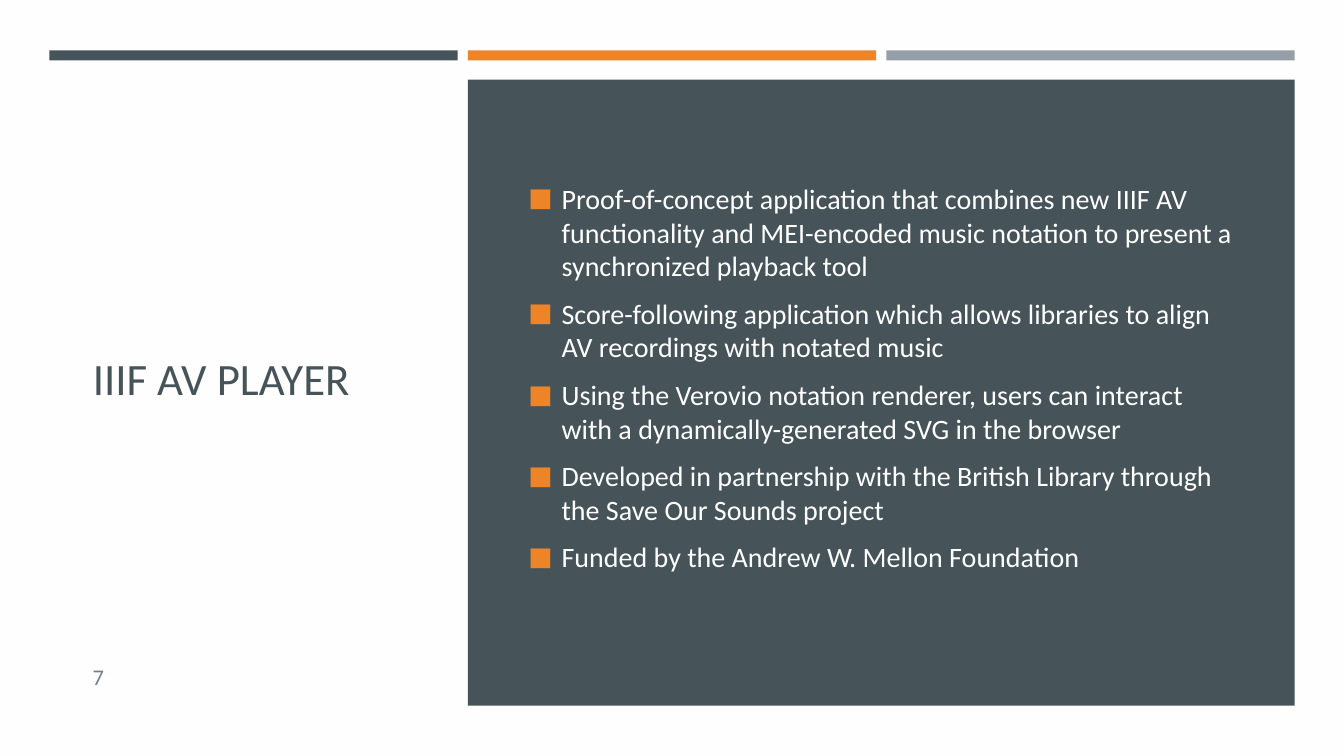
from lxml.etree import SubElement
from pptx import Presentation
from pptx.dml.color import RGBColor
from pptx.enum.shapes import MSO_SHAPE as Preset
from pptx.enum.text import MSO_ANCHOR as Anchor, MSO_AUTO_SIZE as AutoSize, PP_ALIGN as Align
from pptx.oxml.ns import qn
from pptx.util import Inches, Pt

FONT = "Calibri"
SLATE, ORANGE, GREY = "465359", "ED8428", "969FA7"
PAPER, WHITE, NUMBER_GREY = "FFFEFF", "FFFFFF", "6D818A"
MARGIN, BAR_WIDTH, BAR_STEP = 0.49, 4.05, 4.15

POINTS = [
    "Proof-of-concept application that combines new IIIF AV functionality and "
    "MEI-encoded music notation to present a synchronized playback tool",
    "Score-following application which allows libraries to align AV recordings with notated music",
    "Using the Verovio notation renderer, users can interact with a dynamically-generated SVG in the browser",
    "Developed in partnership with the British Library through the Save Our Sounds project",
    "Funded by the Andrew W. Mellon Foundation",
]


def color(value):
    return RGBColor.from_string(value)


def place(shape, left, top, width, height):
    shape.left, shape.top = Inches(left), Inches(top)
    shape.width, shape.height = Inches(width), Inches(height)


def add_block(slide, left, top, width, height, fill):
    block = slide.shapes.add_shape(
        Preset.RECTANGLE, Inches(left), Inches(top), Inches(width), Inches(height))
    block.shadow.inherit = False
    block.fill.solid()
    block.fill.fore_color.rgb = color(fill)
    block.line.fill.background()


def write(shape, text, size, text_color):
    frame = shape.text_frame
    frame.text = text
    frame.word_wrap = True
    frame.auto_size = AutoSize.NONE
    frame.vertical_anchor = Anchor.MIDDLE
    for paragraph in frame.paragraphs:
        paragraph.alignment = Align.LEFT
        for run in paragraph.runs:
            run.font.name = FONT
            run.font.size = Pt(size)
            run.font.color.rgb = color(text_color)


def add_bullet(paragraph):
    properties = paragraph._p.get_or_add_pPr()
    properties.set("marL", str(Inches(0.33)))
    properties.set("indent", str(Inches(-0.33)))
    bullet_color = SubElement(properties, qn("a:buClr"))
    SubElement(bullet_color, qn("a:srgbClr"), val=ORANGE)
    SubElement(properties, qn("a:buSzPct"), val="92000")
    SubElement(properties, qn("a:buFont"), typeface=FONT)
    SubElement(properties, qn("a:buChar"), char="■")


def fill_points(body):
    write(body, "\n".join(POINTS), 20, WHITE)
    for index, paragraph in enumerate(body.text_frame.paragraphs):
        add_bullet(paragraph)
        paragraph.space_before = Pt(4 if index else 0)
        paragraph.space_after = Pt(6)


def add_page_number(slide, number):
    box = slide.shapes.add_textbox(Inches(0.82), Inches(6.51), Inches(0.74), Inches(0.4))
    write(box, number, 16, NUMBER_GREY)


def main():
    presentation = Presentation()
    presentation.slide_width = Inches(13.33)
    presentation.slide_height = Inches(7.5)
    slide = presentation.slides.add_slide(presentation.slide_layouts[1])
    slide.background.fill.solid()
    slide.background.fill.fore_color.rgb = color(PAPER)

    title, body = slide.placeholders
    place(title, 0.82, 1.17, 3.34, 5.15)
    write(title, "IIIF AV PLAYER", 32, SLATE)

    for index, fill in enumerate([SLATE, ORANGE, GREY]):
        add_block(slide, MARGIN + index * BAR_STEP, 0.5, BAR_WIDTH, 0.1, fill)
    add_page_number(slide, "7")
    add_block(slide, MARGIN + BAR_STEP, 0.79, BAR_STEP + BAR_WIDTH, 6.21, SLATE)

    place(body, 5.14, 1.17, 7.22, 5.15)
    fill_points(body)
    slide.shapes._spTree.append(body._element)

    presentation.save("out.pptx")


if __name__ == "__main__":
    main()
